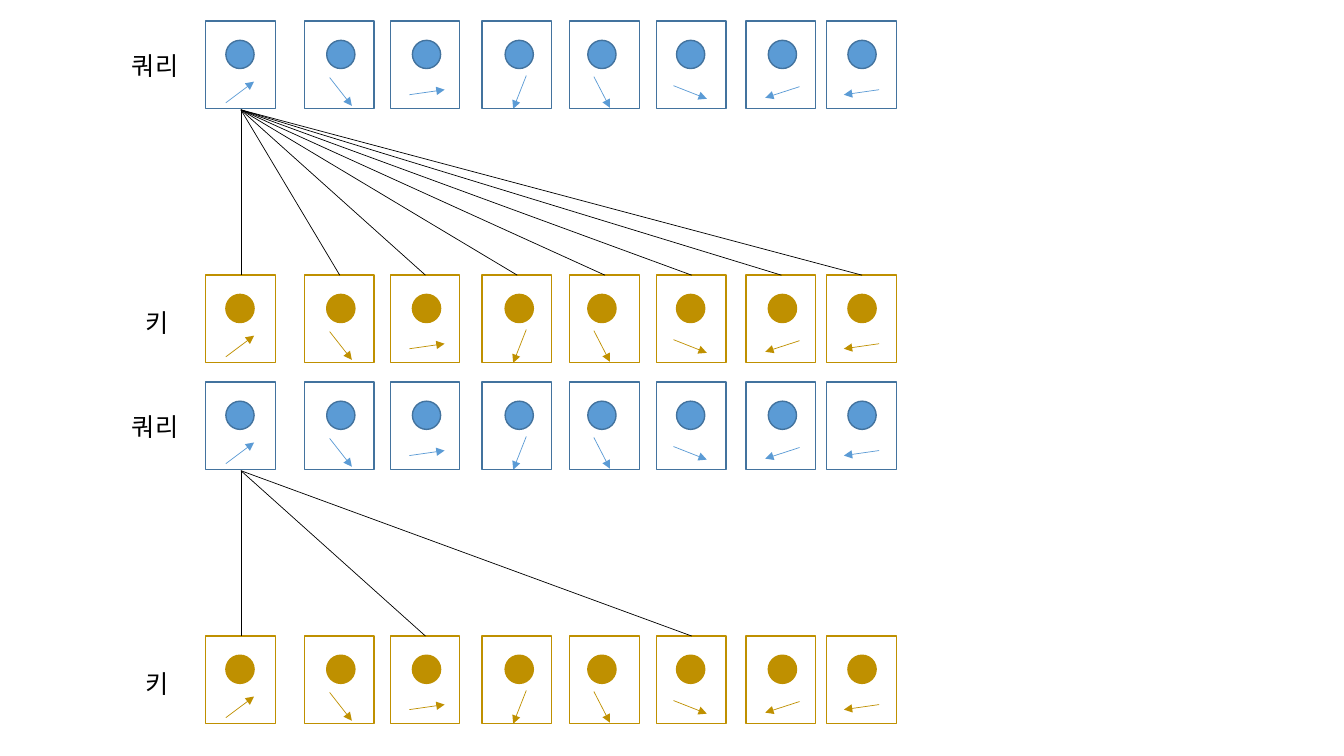
from pptx import Presentation
from pptx.dml.color import RGBColor
from pptx.enum.shapes import MSO_CONNECTOR, MSO_SHAPE
from pptx.enum.text import MSO_AUTO_SIZE
from pptx.oxml.ns import qn
from pptx.util import Inches, Pt
from lxml import etree

STRAIGHT = MSO_CONNECTOR.STRAIGHT
RECT, OVAL = MSO_SHAPE.RECTANGLE, MSO_SHAPE.OVAL
FIT_SHAPE = MSO_AUTO_SIZE.SHAPE_TO_FIT_TEXT

BLUE = RGBColor(0x5B, 0x9B, 0xD5)
DARK_BLUE = RGBColor(0x43, 0x73, 0x9E)
GOLD = RGBColor(0xBF, 0x90, 0x00)
BLACK = RGBColor(0, 0, 0)
FONT = "Noto Sans CJK KR"

CARD_W, CARD_H = 0.69, 0.87
DOT, DOT_DY = 0.28, 0.19
KEY_DY = 2.52  # from a query row down to its key row

# Card left, dot left, arrow from (x, dy) to (x, dy); dy counts from the row top
CARDS = [
    (2.04, 2.24, (2.24, 0.81), (2.52, 0.60)),
    (3.02, 3.24, (3.27, 0.56), (3.49, 0.84)),
    (3.87, 4.09, (4.06, 0.73), (4.41, 0.68)),
    (4.78, 5.01, (5.22, 0.54), (5.09, 0.87)),
    (5.65, 5.83, (5.89, 0.55), (6.05, 0.86)),
    (6.51, 6.71, (6.68, 0.64), (7.01, 0.77)),
    (7.40, 7.62, (7.93, 0.65), (7.59, 0.76)),
    (8.20, 8.41, (8.72, 0.68), (8.37, 0.73)),
]

# Query row top, indexes of the keys that the first query attends to
PANELS = [(0.21, range(len(CARDS))), (3.79, (0, 2, 5))]


def add_box(s, kind, x, y, w, h, line, fill=None):
    sp = s.shapes.add_shape(kind, Inches(x), Inches(y), Inches(w), Inches(h))
    sp.shadow.inherit = False
    if fill is None:
        sp.fill.background()
    else:
        sp.fill.solid()
        sp.fill.fore_color.rgb = fill
    sp.line.color.rgb = line
    sp.line.width = Pt(1)


def add_line(s, start, end, color, arrow=False):
    cn = s.shapes.add_connector(STRAIGHT, *map(Inches, (*start, *end)))
    cn.line.color.rgb = color
    cn.line.width = Pt(0.5)
    if arrow:
        etree.SubElement(cn.line._get_or_add_ln(), qn("a:tailEnd"), type="triangle")
    etree.SubElement(cn._element.spPr, qn("a:effectLst"))


def add_label(s, text, x, y, w):
    tb = s.shapes.add_textbox(Inches(x), Inches(y), Inches(w), Inches(0.4))
    tf = tb.text_frame
    for name, value in {"word_wrap": False, "auto_size": FIT_SHAPE}.items():
        setattr(tf, name, value)
    r = tf.paragraphs[0].add_run()
    r.text = text
    for name, value in {"name": FONT, "size": Pt(18)}.items():
        setattr(r.font, name, value)
    r.font.color.rgb = BLACK
    etree.SubElement(r.font._element, qn("a:ea"), typeface=FONT)


def add_row(s, top, fill, line):
    for card_x, dot_x, (x1, dy1), (x2, dy2) in CARDS:
        add_box(s, OVAL, dot_x, top + DOT_DY, DOT, DOT, line, fill)
        add_line(s, (x1, top + dy1), (x2, top + dy2), fill, arrow=True)
        add_box(s, RECT, card_x, top, CARD_W, CARD_H, line)


def add_links(s, top, key_top, targets):
    centers = [card[0] + 0.35 for card in CARDS]
    for i in targets:
        add_line(s, (centers[0], top + CARD_H + 0.01), (centers[i], key_top), BLACK)


def main():
    prs = Presentation()
    prs.slide_width, prs.slide_height = Inches(13.33), Inches(7.5)
    s = prs.slides.add_slide(prs.slide_layouts[6])

    # Full attention above, sparse attention below
    for top, targets in PANELS:
        key_top = top + KEY_DY
        add_row(s, top, BLUE, DARK_BLUE)
        add_row(s, key_top, GOLD, GOLD)
        add_links(s, top, key_top, targets)
        add_label(s, "쿼리", 1.21, top + 0.24, 0.71)
        add_label(s, "키", 1.34, key_top + 0.27, 0.45)

    prs.save("out.pptx")


main()
